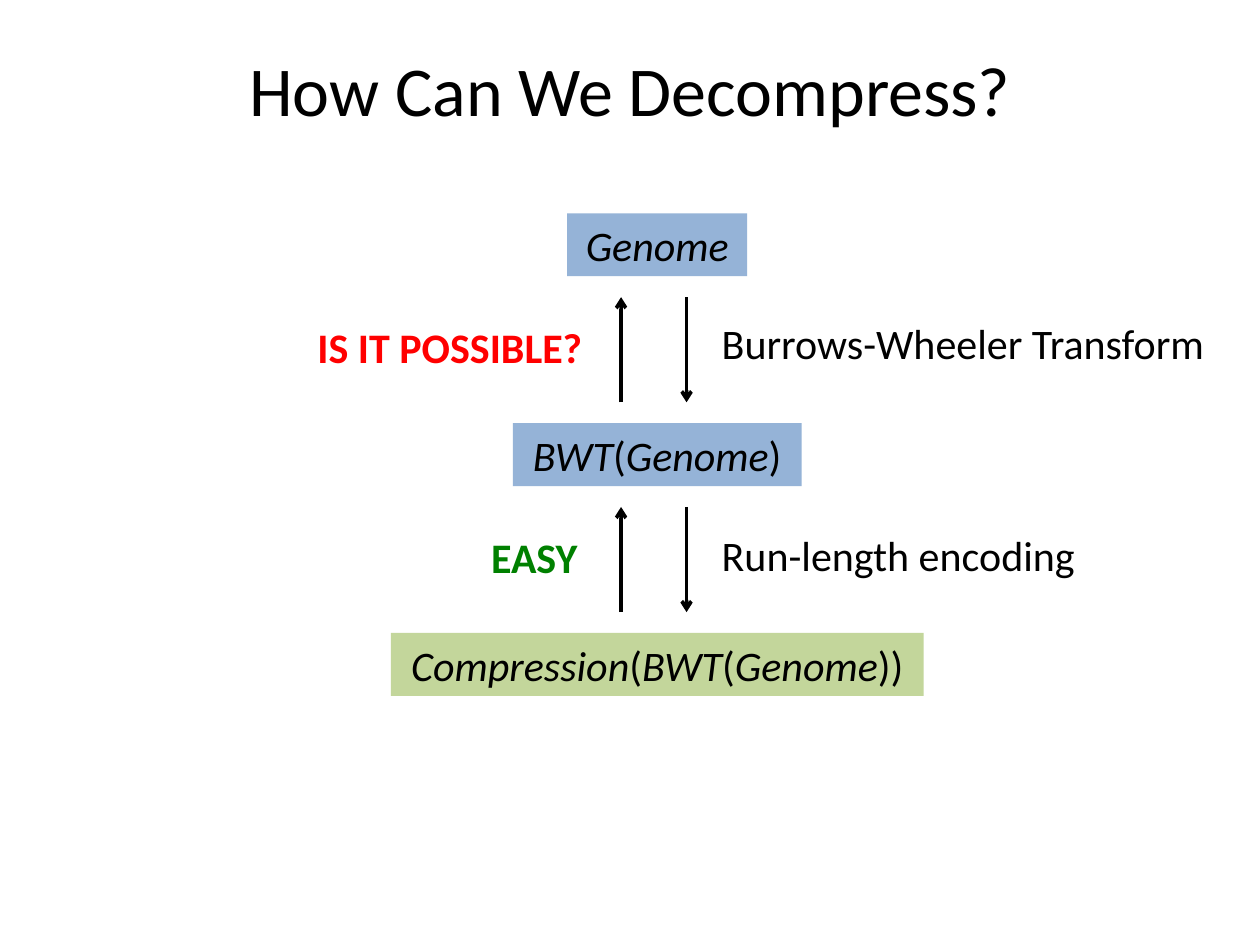
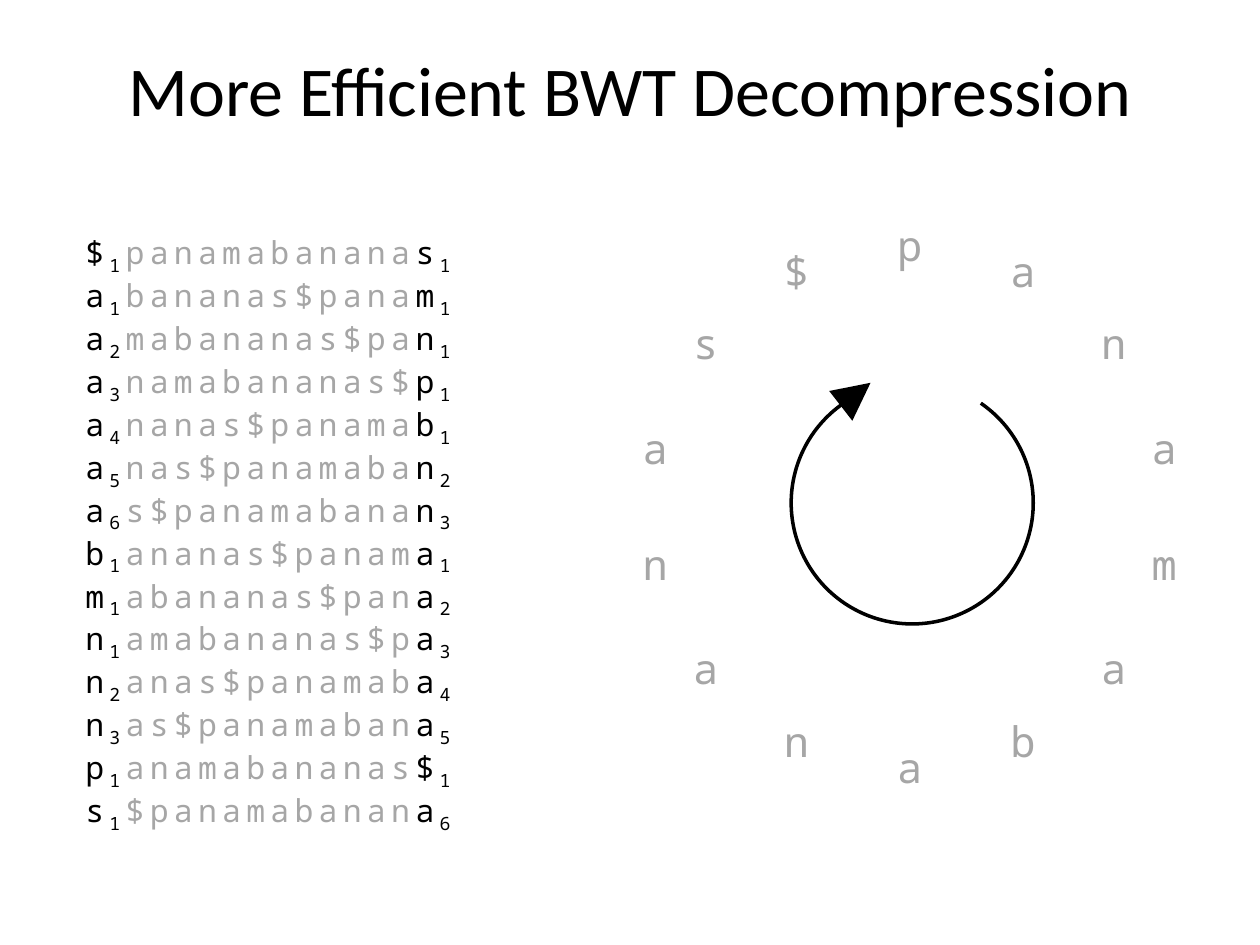
"""Build two slides on undoing the Burrows-Wheeler transform."""
from collections import Counter
from dataclasses import dataclass
from itertools import groupby
from math import cos, pi, sin
from typing import Any

from lxml import etree
from pptx import Presentation
from pptx import util as u
from pptx.dml.color import RGBColor
from pptx.enum import shapes, text
from pptx.oxml import ns

BLACK = RGBColor(0x00, 0x00, 0x00)
GREY = RGBColor(0xA6, 0xA6, 0xA6)
BLUE = RGBColor(0x95, 0xB3, 0xD7)
LIME = RGBColor(0xC3, 0xD6, 0x9B)
GREEN = RGBColor(0x00, 0x80, 0x00)
RED = RGBColor(0xFF, 0x00, 0x00)

SANS = {"name": "Calibri", "size": u.Pt(24)}
TITLE = {"name": "Calibri", "size": u.Pt(40)}
MONO = {"name": "Noto Sans Mono", "size": u.Pt(24)}
MATRIX = {"name": "Noto Sans Mono", "size": u.Pt(18)}
FITTED = {"word_wrap": False, "auto_size": text.MSO_AUTO_SIZE.SHAPE_TO_FIT_TEXT,
          "vertical_anchor": text.MSO_ANCHOR.TOP}
WRAPPED = {"word_wrap": True, "vertical_anchor": text.MSO_ANCHOR.TOP}
CENTERED = {"word_wrap": True, "vertical_anchor": text.MSO_ANCHOR.MIDDLE}

LEFT, CENTER, RIGHT = text.PP_ALIGN.LEFT, text.PP_ALIGN.CENTER, text.PP_ALIGN.RIGHT
LINE_HEIGHT = 1.27
STAGE_TOP, STAGE_STEP, STAGE_CENTER = 4.3, 4.23, 13.25
ARROW_GAP, ARROW_CENTER, ARROW_OFFSET = 0.42, 13.18, 0.66
RING_CENTER_X, RING_CENTER_Y, RING_RADIUS = 18.34, 10.19, 5.26
GENOME = "panamabananas$"


@dataclass(frozen=True)
class Area:
    """Position and size in centimetres."""
    left: float
    top: float
    width: float
    height: float = LINE_HEIGHT

    def lengths(self) -> list[u.Length]:
        """Return left, top, width and height as lengths."""
        return [u.Cm(v) for v in (self.left, self.top, self.width, self.height)]


@dataclass(frozen=True)
class Stage:
    """One form of the genome on its way to compression."""
    formula: str
    width: float
    fill: RGBColor


@dataclass(frozen=True)
class Label:
    """A note beside an arrow."""
    words: str
    area: Area
    color: RGBColor = BLACK
    bold: bool = False
    align: Any = LEFT


STAGES = [
    Stage("Genome", 3.63, BLUE),
    Stage("BWT(Genome)", 5.82, BLUE),
    Stage("Compression(BWT(Genome))", 10.74, LIME),
]
LABELS = [
    Label("Burrows-Wheeler Transform", Area(14.3, 6.27, 10.46)),
    Label("Run-length encoding", Area(14.3, 10.54, 7.72)),
    Label("IS IT POSSIBLE?", Area(6.07, 6.35, 5.92), RED, True, RIGHT),
    Label("EASY", Area(9.65, 10.59, 2.34), GREEN, True),
]


def apply(target: Any, values: dict[str, Any]) -> None:
    """Set each named attribute on the target."""
    for name, value in values.items():
        setattr(target, name, value)


def add_span(para: Any, words: str, style: dict[str, Any], color: RGBColor = BLACK) -> Any:
    """Append a formatted run."""
    span = para.add_run()
    span.text = words
    apply(span.font, style)
    span.font.color.rgb = color
    return span


def add_text(page: Any, area: Area, words: str, style: dict[str, Any],
             color: RGBColor = BLACK, align: Any = CENTER,
             frame: dict[str, Any] = FITTED) -> None:
    """Add a one-paragraph text box."""
    box = page.shapes.add_textbox(*area.lengths())
    apply(box.text_frame, frame)
    para = box.text_frame.paragraphs[0]
    para.alignment = align
    add_span(para, words, style, color)


def add_page(deck: Any, title: str) -> Any:
    """Add a blank slide with the shared title."""
    page = deck.slides.add_slide(deck.slide_layouts[6])
    add_text(page, Area(1.27, 0.2, 22.86, 3.18), title, TITLE, frame=CENTERED)
    return page


def add_stage(page: Any, stage: Stage, top: float) -> None:
    """Draw a filled box whose names are italic and brackets upright."""
    area = Area(STAGE_CENTER - stage.width / 2, top, stage.width)
    box = page.shapes.add_shape(shapes.MSO_SHAPE.RECTANGLE, *area.lengths())
    box.shadow.inherit = False
    box.fill.solid()
    box.fill.fore_color.rgb = stage.fill
    box.line.fill.background()
    apply(box.text_frame, FITTED)
    para = box.text_frame.paragraphs[0]
    para.alignment = CENTER
    for is_name, letters in groupby(stage.formula, str.isalpha):
        add_span(para, "".join(letters), SANS | {"italic": is_name})


def add_arrow(page: Any, x: float, start: float, end: float) -> None:
    """Draw a vertical arrow."""
    arrow = page.shapes.add_connector(
        shapes.MSO_CONNECTOR.STRAIGHT, u.Cm(x), u.Cm(start), u.Cm(x), u.Cm(end))
    arrow.line.width = u.Pt(2)
    arrow.line.color.rgb = BLACK
    etree.SubElement(arrow.line._get_or_add_ln(), ns.qn("a:tailEnd"), type="arrow")
    etree.SubElement(arrow._element.spPr, ns.qn("a:effectLst"))


def build_question(deck: Any) -> None:
    """Build the slide that asks which steps can be undone."""
    page = add_page(deck, "How Can We Decompress?")
    for row, stage in enumerate(STAGES):
        top = STAGE_TOP + row * STAGE_STEP
        add_stage(page, stage, top)
        if row:
            upper = top - STAGE_STEP + LINE_HEIGHT + ARROW_GAP
            lower = top - ARROW_GAP
            add_arrow(page, ARROW_CENTER + ARROW_OFFSET, upper, lower)
            add_arrow(page, ARROW_CENTER - ARROW_OFFSET, lower, upper)
    for label in LABELS:
        add_text(page, label.area, label.words, SANS | {"bold": label.bold},
                 label.color, label.align)


def add_ring(page: Any) -> None:
    """Place the genome's letters clockwise around a circular arrow."""
    for index, letter in enumerate(GENOME):
        angle = 2 * pi * index / len(GENOME)
        left = RING_CENTER_X + RING_RADIUS * sin(angle) - 0.51
        top = RING_CENTER_Y - RING_RADIUS * cos(angle) - LINE_HEIGHT / 2
        add_text(page, Area(left, top, 1.02), letter, MONO, GREY)

    arc = page.shapes.add_shape(shapes.MSO_SHAPE.ARC, *Area(15.95, 7.7, 4.88, 4.88).lengths())
    arc.shadow.inherit = False
    arc.adjustments[0], arc.adjustments[1] = 182.72, 140.47
    arc.fill.background()
    arc.line.color.rgb = BLACK
    arc.line.width = u.Pt(2)

    tip = page.shapes.add_shape(
        shapes.MSO_SHAPE.ISOSCELES_TRIANGLE, *Area(16.87, 7.57, 0.76, 0.76).lengths())
    tip.shadow.inherit = False
    tip.rotation = 52.1
    tip.fill.solid()
    tip.fill.fore_color.rgb = BLACK
    tip.line.fill.background()


def add_matrix(page: Any) -> None:
    """List the sorted rotations, numbering letters in the outer columns."""
    box = page.shapes.add_textbox(*Area(1.47, 4.57, 9.09, 11.02).lengths())
    apply(box.text_frame, WRAPPED)
    first_seen: Counter[str] = Counter()
    last_seen: Counter[str] = Counter()
    rotations = sorted(GENOME[i:] + GENOME[:i] for i in range(len(GENOME)))
    for row, rotation in enumerate(rotations):
        para = box.text_frame.add_paragraph() if row else box.text_frame.paragraphs[0]
        first, middle, last = rotation[0], rotation[1:-1], rotation[-1]
        first_seen[first] += 1
        last_seen[last] += 1
        for words, color, baseline in (
                (first, BLACK, 0), (str(first_seen[first]), BLACK, -25000),
                (middle, GREY, 0),
                (last, BLACK, 0), (str(last_seen[last]), BLACK, -25000)):
            span = add_span(para, words, MATRIX, color)
            properties = span._r.get_or_add_rPr()
            properties.set("spc", "300")
            properties.set("baseline", str(baseline))


def build_decompression(deck: Any) -> None:
    """Build the slide with the rotation matrix and the letter ring."""
    page = add_page(deck, "More Efficient BWT Decompression")
    add_ring(page)
    add_matrix(page)


def main() -> None:
    """Build and save the deck."""
    deck = Presentation()
    deck.slide_width, deck.slide_height = u.Cm(25.4), u.Cm(19.05)
    build_question(deck)
    build_decompression(deck)
    deck.save("out.pptx")


if __name__ == "__main__":
    main()
